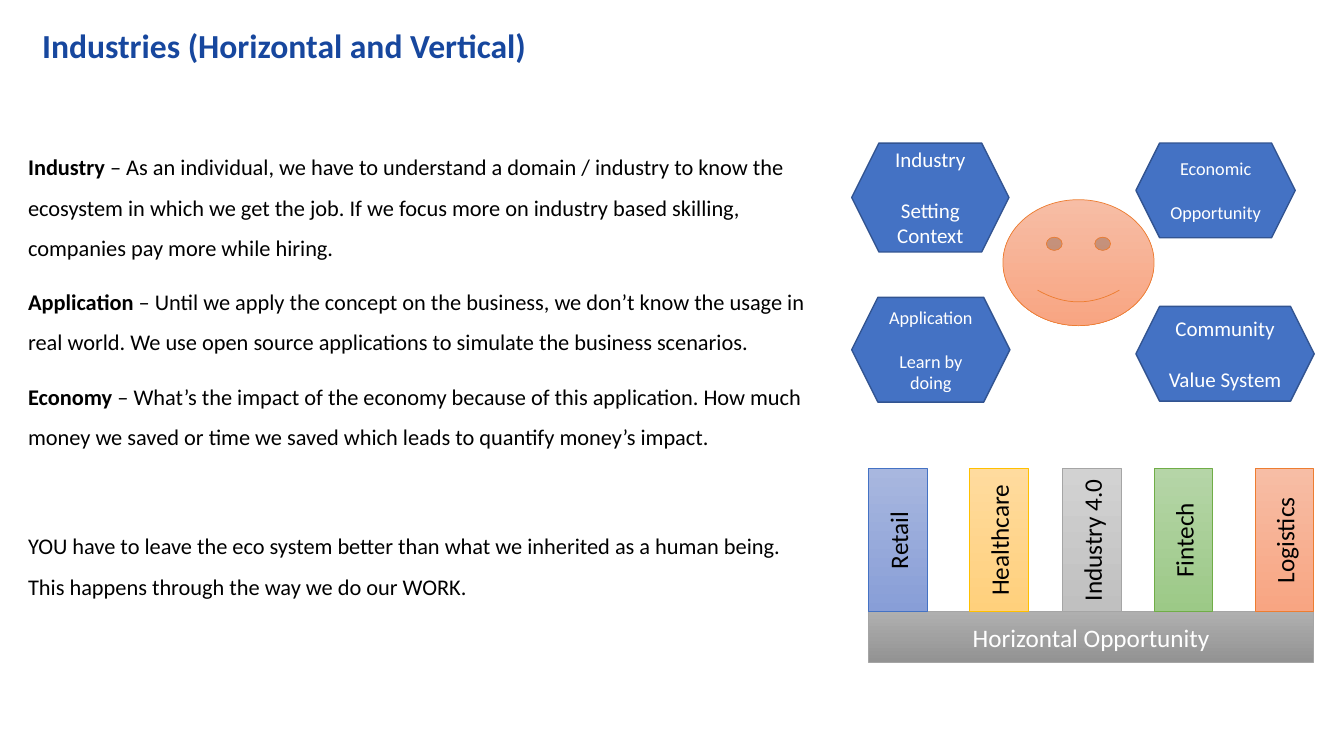
from dataclasses import dataclass

from pptx import Presentation, util as u
from pptx.dml import color
from pptx.enum import shapes, text

FONT = "Calibri"
COLORS = {
    "title": "17479E", "black": "000000", "white": "FFFFFF",
    "hexagon": "4472C4", "hexagon_line": "325491",
    "blue": "4472C4", "blue_top": "A8B7DF", "blue_end": "889ED7",
    "gold": "FFC000", "gold_top": "FFDB9E", "gold_end": "FFD07C",
    "gray": "A5A5A5", "gray_top": "D2D2D2", "gray_end": "C0C0C0",
    "green": "70AD47", "green_top": "B5D5A7", "green_end": "9CC987",
    "orange": "ED7D31", "orange_top": "F7BDA5", "orange_end": "F8A582",
    "base_top": "AFAFAF", "base_end": "939393",
}
LINE_HEIGHT = 1.22
BAR_TOP, BAR_W, BAR_H = 334.8, 41.8, 102.2


@dataclass
class Box:
    x: float
    y: float
    w: float
    h: float


@dataclass
class Hexagon:
    box: Box
    heading: str
    detail: str
    size: float


@dataclass
class Bar:
    x: float
    label: str
    hue: str


@dataclass
class Passage:
    lead: str
    body: str
    before: float = 10


HEXAGONS = [
    Hexagon(Box(608.4, 102.2, 112.3, 77.8), "Industry", "Setting Context", 15),
    Hexagon(Box(608.4, 212.4, 113, 74.9), "Application", "Learn by doing", 13),
    Hexagon(Box(811.4, 102.2, 113.8, 67.7), "Economic", "Opportunity", 13),
    Hexagon(Box(811.4, 218.9, 127.4, 67.7), "Community", "Value System", 15),
]
BARS = [
    Bar(620.6, "Retail", "blue"),
    Bar(692.6, "Healthcare", "gold"),
    Bar(758.9, "Industry 4.0", "gray"),
    Bar(824.4, "Fintech", "green"),
    Bar(896.4, "Logistics", "orange"),
]
PASSAGES = [
    Passage("Industry", " – As an individual, we have to understand a domain / industry to know "
            "the ecosystem in which we get the job. If we focus more on industry based skilling, "
            "companies pay more while hiring."),
    Passage("Application", " – Until we apply the concept on the business, we don’t know the usage "
            "in real world. We use open source applications to simulate the business scenarios."),
    Passage("Economy ", "– What’s the impact of the economy because of this application. How much "
            "money we saved or time we saved which leads to quantify money’s impact."),
    Passage("", "YOU have to leave the eco system better than what we inherited as a human being. "
            "This happens through the way we do our WORK.", 49.3),
]


def rgb(name: str) -> color.RGBColor:
    return color.RGBColor.from_string(COLORS[name])


def add_run(p, content: str, size: float, ink: str, bold: bool = False) -> None:
    r = p.add_run()
    r.text = content
    r.font.name = FONT
    r.font.size = u.Pt(size)
    r.font.bold = bold
    r.font.color.rgb = rgb(ink)


def add_passages(s, box: Box, passages: list[Passage], size: float, ink: str) -> None:
    tf = s.shapes.add_textbox(u.Pt(box.x), u.Pt(box.y), u.Pt(box.w), u.Pt(box.h)).text_frame
    tf.word_wrap = True
    for i, passage in enumerate(passages):
        p = tf.add_paragraph() if i else tf.paragraphs[0]
        p.line_spacing = 1.5
        p.space_before = u.Pt(passage.before)
        if passage.lead:
            add_run(p, passage.lead, size, ink, True)
        if passage.body:
            add_run(p, passage.body, size, ink)


def add_figure(s, kind: shapes.MSO_SHAPE, box: Box, line: str, width: float):
    sp = s.shapes.add_shape(kind, u.Pt(box.x), u.Pt(box.y), u.Pt(box.w), u.Pt(box.h))
    sp.shadow.inherit = False
    sp.line.color.rgb = rgb(line)
    sp.line.width = u.Pt(width)
    return sp


def shade(sp, top: str, end: str) -> None:
    sp.fill.gradient()
    sp.fill.gradient_angle = 270
    for stop, name in zip(sp.fill.gradient_stops, (top, end)):
        stop.color.rgb = rgb(name)


def label(sp, lines: list[str], size: float, ink: str) -> None:
    tf = sp.text_frame
    tf.word_wrap = True
    tf.vertical_anchor = text.MSO_ANCHOR.MIDDLE
    for i, line in enumerate(lines):
        p = tf.add_paragraph() if i else tf.paragraphs[0]
        p.alignment = text.PP_ALIGN.CENTER
        if i:
            p.space_before = u.Pt(size * LINE_HEIGHT)
        add_run(p, line, size, ink)


def add_hexagon(s, hexagon: Hexagon) -> None:
    sp = add_figure(s, shapes.MSO_SHAPE.HEXAGON, hexagon.box, "hexagon_line", 1)
    sp.fill.solid()
    sp.fill.fore_color.rgb = rgb("hexagon")
    label(sp, [hexagon.heading, hexagon.detail], hexagon.size, "white")


def add_bar(s, bar: Bar) -> None:
    box = Box(bar.x, BAR_TOP, BAR_W, BAR_H)
    sp = add_figure(s, shapes.MSO_SHAPE.RECTANGLE, box, bar.hue, 0.5)
    shade(sp, f"{bar.hue}_top", f"{bar.hue}_end")
    label(sp, [bar.label], 18, "black")
    tf = sp.text_frame
    tf.margin_top = tf.margin_bottom = 0
    tf._txBody.bodyPr.set("vert", "vert270")


def main() -> None:
    prs = Presentation()
    prs.slide_width, prs.slide_height = u.Pt(960), u.Pt(540)
    s = prs.slides.add_slide(prs.slide_layouts[6])

    title = Passage("Industries (Horizontal and Vertical)", "")
    add_passages(s, Box(23, 0, 890, 62), [title], 24, "title")

    face = add_figure(s, shapes.MSO_SHAPE.SMILEY_FACE, Box(716.4, 142.6, 108, 90), "orange", 0.5)
    shade(face, "orange_top", "orange_end")
    for hexagon in HEXAGONS:
        add_hexagon(s, hexagon)

    add_passages(s, Box(13, 96.5, 571, 353.5), PASSAGES, 16, "black")

    base_box = Box(BARS[0].x, BAR_TOP + BAR_H, BARS[-1].x + BAR_W - BARS[0].x, 36)
    base = add_figure(s, shapes.MSO_SHAPE.RECTANGLE, base_box, "gray", 0.5)
    shade(base, "base_top", "base_end")
    label(base, ["Horizontal Opportunity"], 18, "white")
    for bar in BARS:
        add_bar(s, bar)

    prs.save("out.pptx")


if __name__ == "__main__":
    main()
